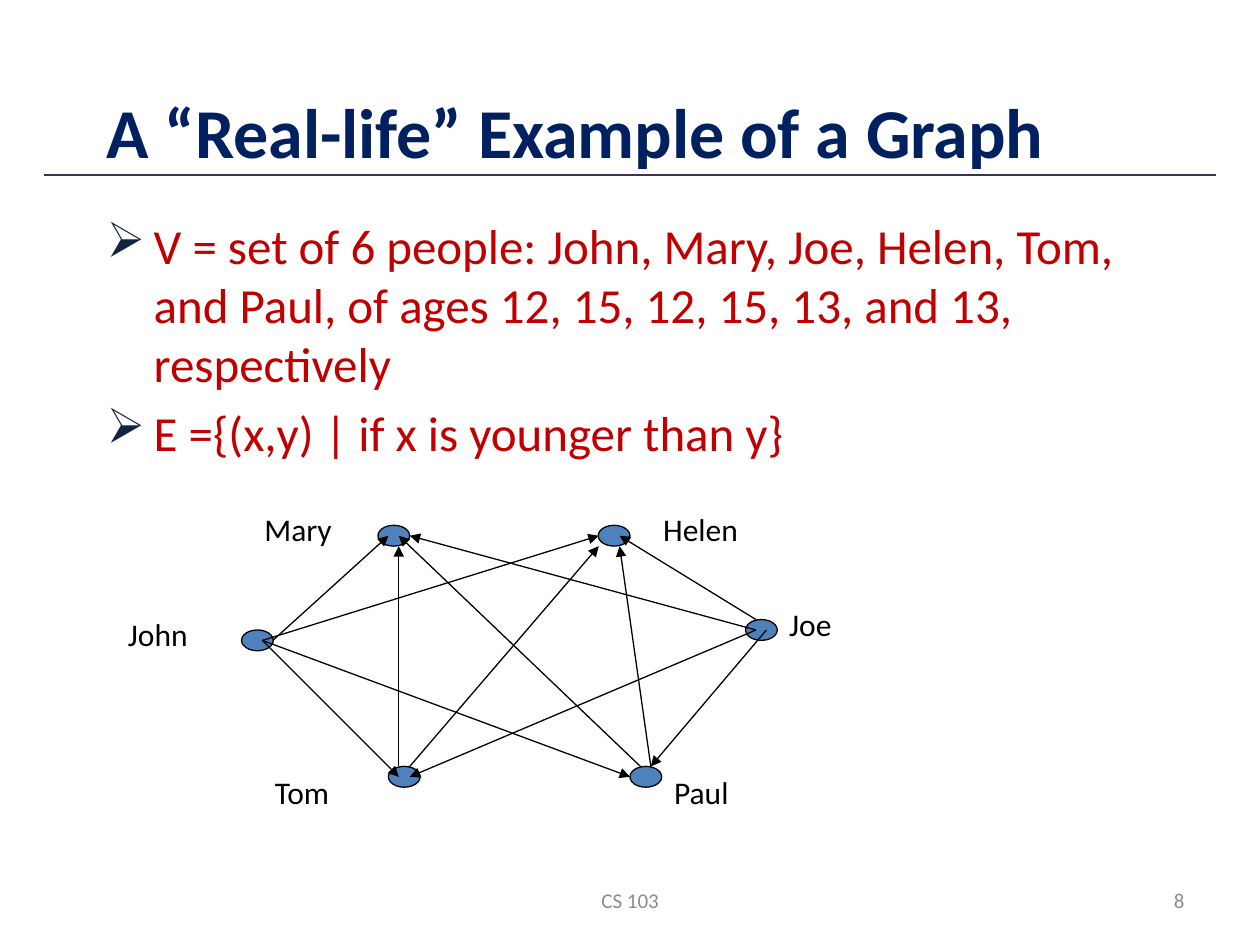
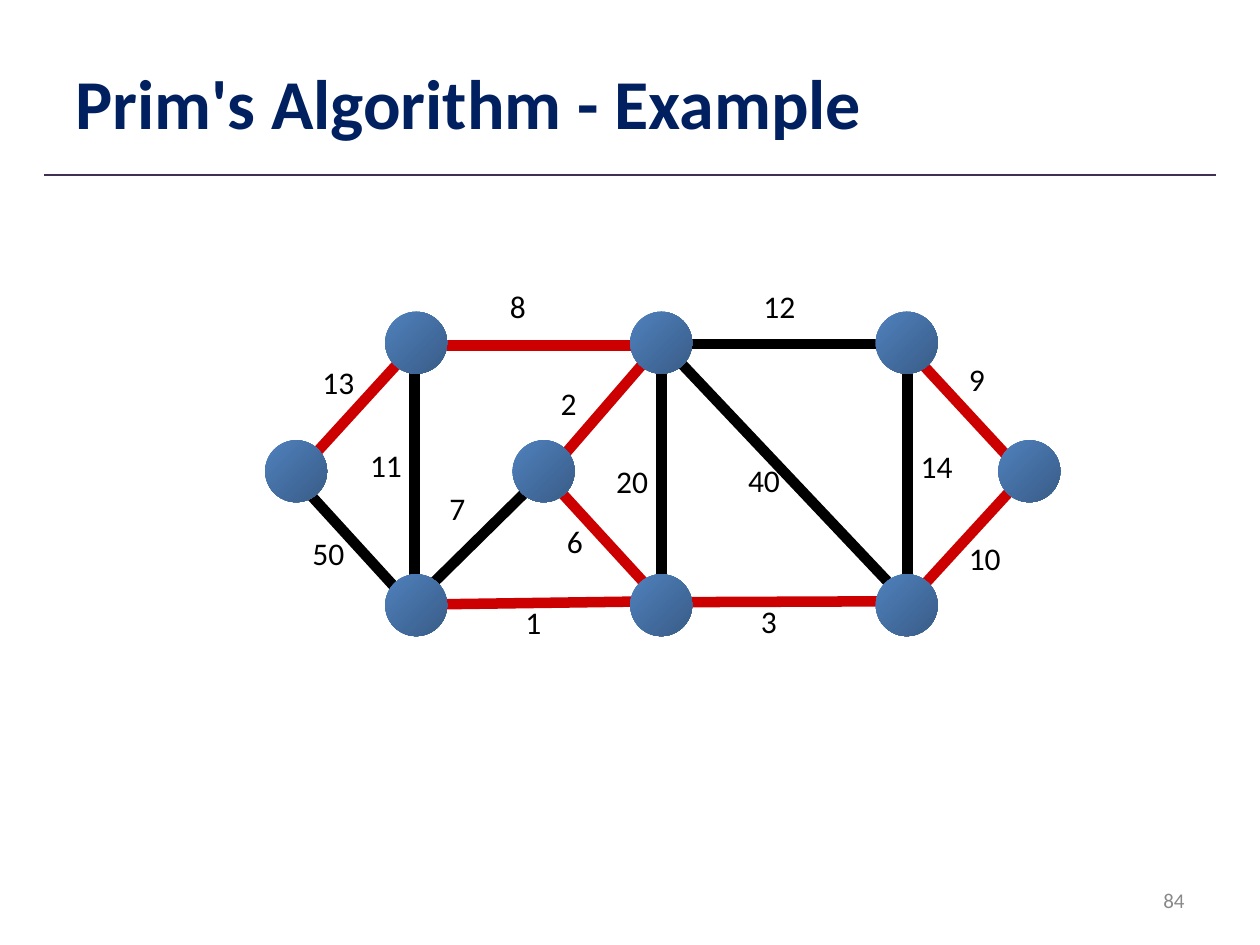
"""Build two lecture slides on graphs: an age relation and a spanning tree."""
from typing import Any, NamedTuple

from lxml import etree
from pptx import Presentation
from pptx import util as u
from pptx.dml import color
from pptx.enum import shapes, text
from pptx.oxml import ns

FONT = "Calibri"
COLOURS = {
    "title": "002060",
    "rule": "403152",
    "body": "C00000",
    "bullet": "0F243E",
    "footer": "8C8C8C",
    "number": "898989",
    "ink": "000000",
    "node": "4F81BD",
    "node_dark": "395C87",
    "tree": "CC0000",
}


class Frame(NamedTuple):
    left: float
    top: float
    width: float
    height: float


class Style(NamedTuple):
    size: int
    colour: str
    bold: bool = False
    align: Any = text.PP_ALIGN.LEFT


class Node(NamedTuple):
    x: float
    y: float


class Label(NamedTuple):
    wording: str
    left: float
    top: float
    width: float


class Edge(NamedTuple):
    x1: float
    y1: float
    x2: float
    y2: float
    colour: str = "ink"


TITLE = Style(40, "title", True)
BODY = Style(28, "body")
LABEL = Style(18, "ink")
FOOTER = Style(12, "footer", align=text.PP_ALIGN.CENTER)
FOOTER_FRAME = Frame(8.68, 17.65, 8.05, 1.01)
NUMBER = Style(12, "number", align=text.PP_ALIGN.RIGHT)
NUMBER_FRAME = Frame(18.2, 17.65, 5.93, 1.01)
RULE = Edge(0.89, 3.53, 24.51, 3.53, "rule")

MIDDLE = {"word_wrap": True, "vertical_anchor": text.MSO_ANCHOR.MIDDLE}
TOP = {"word_wrap": True, "vertical_anchor": text.MSO_ANCHOR.TOP}
FITTED = {"word_wrap": False, "auto_size": text.MSO_AUTO_SIZE.SHAPE_TO_FIT_TEXT}

STATEMENTS = [
    "V = set of 6 people: John, Mary, Joe, Helen, Tom, and Paul, "
    "of ages 12, 15, 12, 15, 13, and 13, respectively",
    "E ={(x,y) | if x is younger than y}",
]
PEOPLE = [
    Node(5.19, 12.91), Node(7.94, 10.8), Node(8.15, 15.66),
    Node(13.02, 15.66), Node(15.35, 12.7), Node(12.38, 10.8),
]
NAMES = [
    Label("John", 2.33, 12.28, 2.12),
    Label("Joe", 15.66, 12.07, 1.65),
    Label("Mary", 5.08, 10.16, 2.33),
    Label("Helen", 13.12, 10.16, 2.54),
    Label("Tom", 5.29, 15.45, 2.12),
    Label("Paul", 13.34, 15.45, 2.01),
]
YOUNGER_THAN = [
    Edge(5.5, 12.91, 7.83, 10.8),
    Edge(5.29, 12.91, 12.07, 10.8),
    Edge(15.24, 12.49, 12.49, 10.8),
    Edge(15.24, 12.7, 8.26, 10.8),
    Edge(5.29, 12.91, 8.04, 15.66),
    Edge(5.29, 12.91, 12.7, 15.66),
    Edge(15.24, 12.7, 8.26, 15.66),
    Edge(15.45, 12.7, 13.12, 15.45),
    Edge(8.04, 15.45, 8.04, 11.01),
    Edge(13.12, 15.45, 12.49, 11.01),
    Edge(8.26, 15.45, 12.07, 11.01),
    Edge(12.91, 15.45, 8.04, 10.8),
]

OUTER_COLUMNS = (8.39, 13.33, 18.28)
INNER_COLUMNS = (5.97, 10.96, 20.75)
UPPER_ROW, CENTRE_ROW, LOWER_ROW = 6.91, 9.5, 12.2
VERTICES = [Node(x, y) for y in (UPPER_ROW, LOWER_ROW) for x in OUTER_COLUMNS]
VERTICES += [Node(x, CENTRE_ROW) for x in INNER_COLUMNS]
WEIGHTED_EDGES = [
    Edge(13.39, 12.14, 18.26, 12.12, "tree"),
    Edge(13.31, 6.93, 11, 9.6, "tree"),
    Edge(13.31, 6.93, 18.26, 6.93),
    Edge(8.36, 6.86, 8.36, 12.17),
    Edge(13.34, 6.91, 13.34, 12.19),
    Edge(18.29, 6.93, 18.29, 12.22),
    Edge(8.31, 6.96, 13.28, 6.96, "tree"),
    Edge(8.28, 12.19, 13.31, 12.12, "tree"),
    Edge(10.97, 9.55, 13.39, 12.19, "tree"),
    Edge(5.87, 9.55, 8.28, 12.19),
    Edge(8.28, 7.04, 5.87, 9.68, "tree"),
    Edge(20.68, 9.55, 18.26, 12.19, "tree"),
    Edge(18.24, 6.96, 20.68, 9.6, "tree"),
    Edge(10.97, 9.55, 8.31, 12.17),
    Edge(13.36, 6.93, 18.24, 12.09),
]
ONE_DIGIT, TWO_DIGITS = 0.86, 1.22
WEIGHTS = [
    Label("13", 6.25, 7.19, TWO_DIGITS),
    Label("50", 6.05, 10.64, TWO_DIGITS),
    Label("11", 7.21, 8.86, TWO_DIGITS),
    Label("7", 8.81, 9.73, ONE_DIGIT),
    Label("2", 11.05, 7.62, ONE_DIGIT),
    Label("8", 10.03, 5.66, ONE_DIGIT),
    Label("12", 15.14, 5.66, TWO_DIGITS),
    Label("9", 19.28, 7.14, ONE_DIGIT),
    Label("10", 19.28, 10.74, TWO_DIGITS),
    Label("14", 18.31, 8.89, TWO_DIGITS),
    Label("40", 14.83, 9.17, TWO_DIGITS),
    Label("3", 15.09, 12.01, ONE_DIGIT),
    Label("1", 10.34, 12.04, ONE_DIGIT),
    Label("6", 11.18, 10.39, ONE_DIGIT),
    Label("20", 12.17, 9.19, TWO_DIGITS),
]


def rgb(name: str) -> color.RGBColor:
    return color.RGBColor.from_string(COLOURS[name])


def apply(target: Any, values: dict[str, Any]) -> None:
    for name, value in values.items():
        setattr(target, name, value)


def write(para: Any, wording: str, style: Style) -> None:
    para.alignment = style.align
    span = para.add_run()
    span.text = wording
    apply(span.font, {"name": FONT, "size": u.Pt(style.size), "bold": style.bold})
    span.font.color.rgb = rgb(style.colour)


def add_text(page: Any, frame: Frame, wording: str, style: Style,
             layout: dict[str, Any]) -> None:
    box = page.shapes.add_textbox(*map(u.Cm, frame))
    apply(box.text_frame, layout)
    write(box.text_frame.paragraphs[0], wording, style)


def add_labels(page: Any, labels: list[Label], height: float) -> None:
    for label in labels:
        frame = Frame(label.left, label.top, label.width, height)
        add_text(page, frame, label.wording, LABEL, FITTED)


def add_bullet(para: Any) -> None:
    props = para._p.get_or_add_pPr()
    apply_indent = {"marL": u.Cm(0.95), "indent": -u.Cm(0.95)}
    for name, value in apply_indent.items():
        props.set(name, str(value))
    tint = etree.SubElement(props, ns.qn("a:buClr"))
    etree.SubElement(tint, ns.qn("a:srgbClr"), val=COLOURS["bullet"])
    etree.SubElement(props, ns.qn("a:buChar"), char="➢")


def add_statements(page: Any, frame: Frame, statements: list[str]) -> None:
    box = page.shapes.add_textbox(*map(u.Cm, frame))
    apply(box.text_frame, TOP)
    for index, statement in enumerate(statements):
        para = box.text_frame.add_paragraph() if index else box.text_frame.paragraphs[0]
        add_bullet(para)
        if index:
            para.space_before = u.Pt(5.6)
        write(para, statement, BODY)


def add_edge(page: Any, edge: Edge, weight: float, arrow: bool = False) -> None:
    ends = map(u.Cm, (edge.x1, edge.y1, edge.x2, edge.y2))
    line = page.shapes.add_connector(shapes.MSO_CONNECTOR.STRAIGHT, *ends)
    line.line.color.rgb = rgb(edge.colour)
    line.line.width = u.Pt(weight)
    props = line._element.spPr
    if arrow:
        etree.SubElement(props.find(ns.qn("a:ln")), ns.qn("a:tailEnd"), type="triangle")
    etree.SubElement(props, ns.qn("a:effectLst"))


def add_node(page: Any, node: Node, width: float, height: float) -> Any:
    frame = Frame(node.x - width / 2, node.y - height / 2, width, height)
    oval = page.shapes.add_shape(shapes.MSO_SHAPE.OVAL, *map(u.Cm, frame))
    oval.shadow.inherit = False
    return oval


def add_person(page: Any, node: Node) -> None:
    oval = add_node(page, node, 0.64, 0.42)
    oval.fill.solid()
    oval.fill.fore_color.rgb = rgb("node")
    oval.line.color.rgb = rgb("ink")
    oval.line.width = u.Pt(0.75)


def add_vertex(page: Any, node: Node) -> None:
    oval = add_node(page, node, 1.25, 1.25)
    oval.fill.gradient()
    oval.fill.gradient_angle = 315
    for stop, name in zip(oval.fill.gradient_stops, ("node", "node_dark")):
        stop.color.rgb = rgb(name)
    oval.line.fill.background()


def add_page(deck: Any, title: str, frame: Frame, number: str, style: Style) -> Any:
    page = deck.slides.add_slide(deck.slide_layouts[6])
    add_edge(page, RULE, 1)
    add_text(page, NUMBER_FRAME, number, style, MIDDLE)
    add_text(page, frame, title, TITLE, MIDDLE)
    return page


def build_people(deck: Any) -> None:
    page = add_page(deck, "A “Real-life” Example of a Graph",
                    Frame(1.9, 1.47, 21.6, 2.34), "8", NUMBER._replace(colour="footer"))
    add_text(page, FOOTER_FRAME, "CS 103", FOOTER, MIDDLE)
    add_statements(page, Frame(1.9, 4.23, 21.6, 12.7), STATEMENTS)
    for person in PEOPLE:
        add_person(page, person)
    add_labels(page, NAMES, 1.27)
    for edge in YOUNGER_THAN:
        add_edge(page, edge, 0.75, arrow=True)


def build_spanning_tree(deck: Any) -> None:
    page = add_page(deck, "Prim's Algorithm - Example",
                    Frame(1.27, 0.76, 22.86, 2.57), "84", NUMBER)
    for edge in WEIGHTED_EDGES:
        add_edge(page, edge, 6)
    for vertex in VERTICES:
        add_vertex(page, vertex)
    add_labels(page, WEIGHTS, 1.02)


def main() -> None:
    deck = Presentation()
    apply(deck, {"slide_width": u.Cm(25.4), "slide_height": u.Cm(19.05)})
    build_people(deck)
    build_spanning_tree(deck)
    deck.save("out.pptx")


if __name__ == "__main__":
    main()
